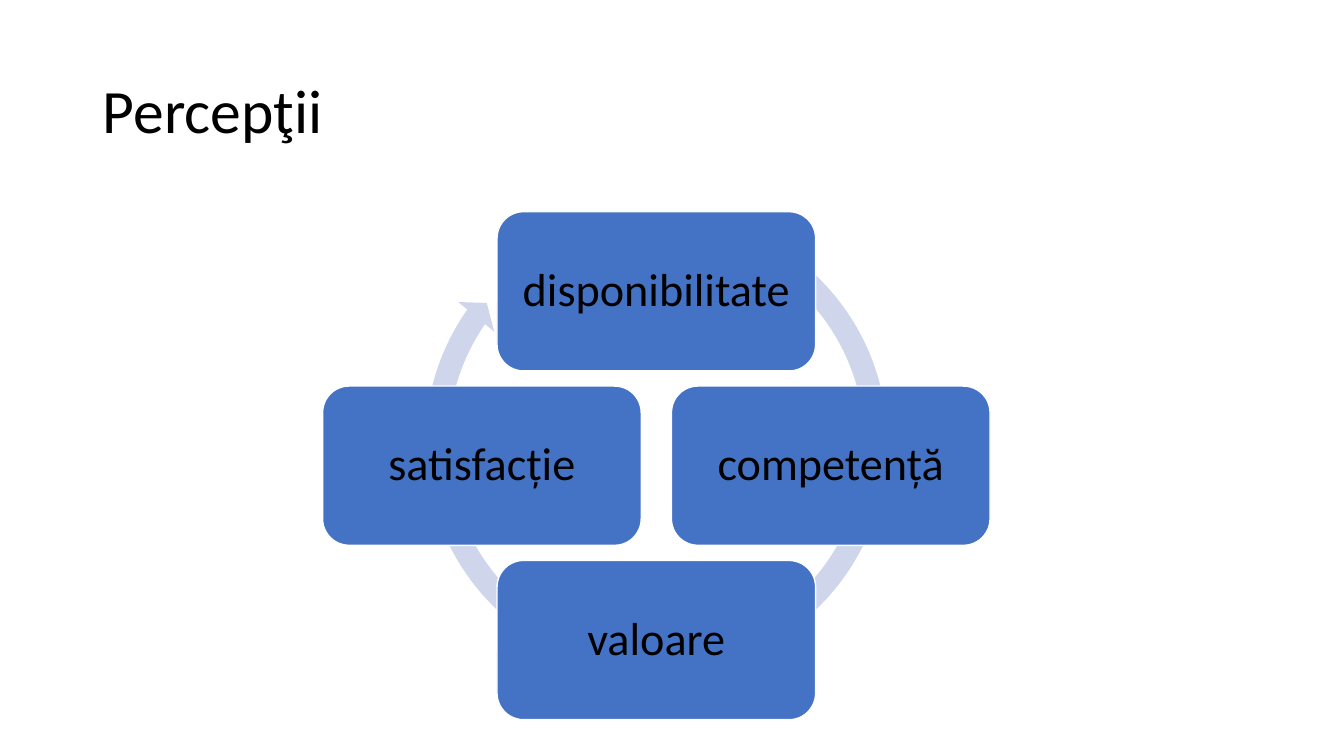
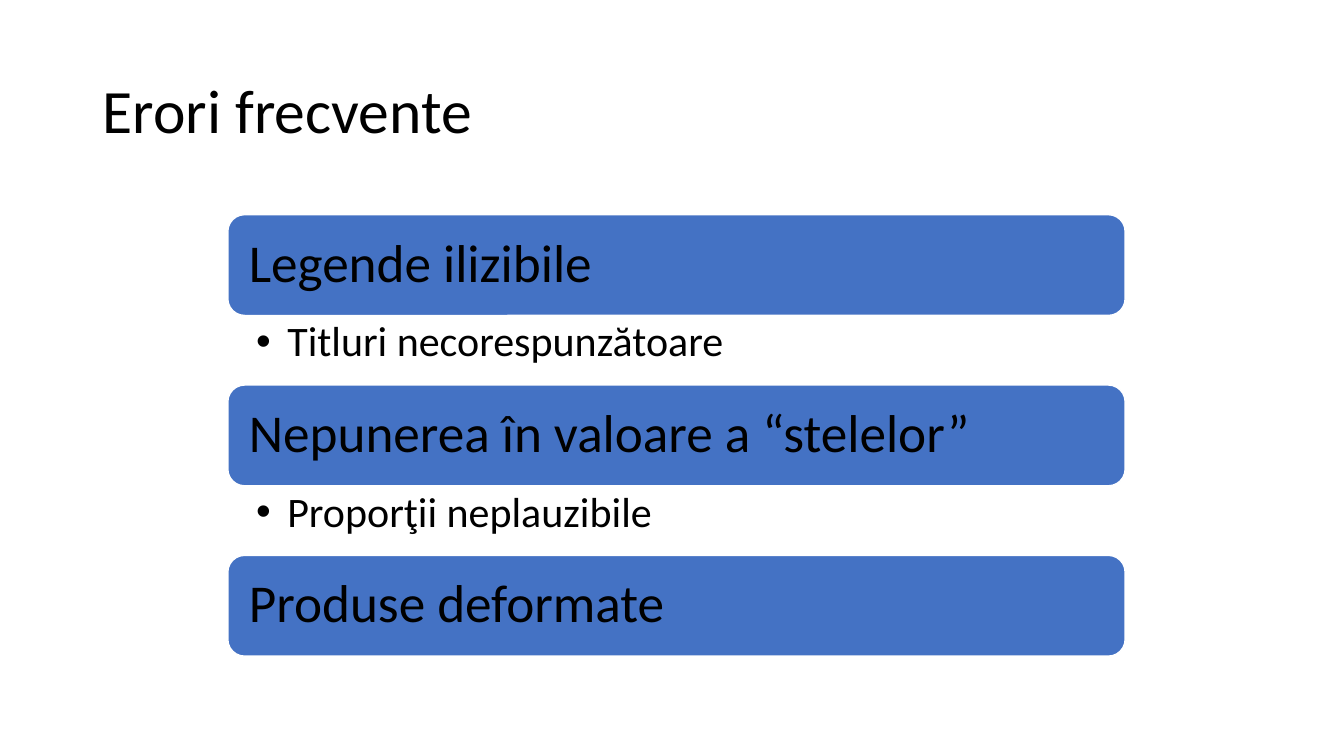
from dataclasses import dataclass

from pptx import Presentation
from pptx import util as u
from pptx.dml.color import RGBColor
from pptx.enum import shapes, text
from pptx.shapes.autoshape import Shape
from pptx.slide import Slide

COLORS = {"text": "000000", "box": "4472C4", "ring": "CFD5EA", "edge": "FFFFFF"}
FONT = "Calibri"
TWO_CONTENT, TITLE_ONLY = 3, 5  # layouts of the default template


@dataclass
class Area:
    left: float
    top: float
    width: float
    height: float

    def lengths(self) -> list[u.Length]:
        return [u.Inches(v) for v in (self.left, self.top, self.width, self.height)]


@dataclass
class Step:
    label: str
    across: int  # direction from the cycle's centre
    down: int


@dataclass
class Topic:
    heading: str
    detail: str = ""


TITLE_AREA = Area(0.92, 0.4, 11.5, 1.45)

# Cycle of perceptions
STEPS = [
    Step("disponibilitate", 0, -1),
    Step("competență", 1, 0),
    Step("valoare", 0, 1),
    Step("satisfacție", -1, 0),
]
CENTER_X, CENTER_Y, RADIUS = 6.51, 4.62, 1.73
STEP_WIDTH, STEP_HEIGHT = 3.16, 1.58
RING_AREA = Area(4.1, 1.98, 4.82, 4.82)
RING_ADJUSTMENTS = (0.047, 2.729, 128.942, 179.882, 0.048)

# Bars of frequent errors
TOPICS = [
    Topic("Legende ilizibile", "Titluri necorespunzătoare"),
    Topic("Nepunerea în valoare a “stelelor”", "Proporţii neplauzibile"),
    Topic("Produse deformate"),
]
BAR_LEFT, BAR_TOP, BAR_WIDTH, BAR_HEIGHT = 2.26, 2.13, 8.9, 1
DETAIL_HEIGHT = 0.69


def color(name: str) -> RGBColor:
    return RGBColor.from_string(COLORS[name])


def place(shape: Shape, area: Area) -> None:
    shape.left, shape.top, shape.width, shape.height = area.lengths()


def write(shape: Shape, content: str, size: float, align=text.PP_ALIGN.LEFT,
          anchor=text.MSO_ANCHOR.MIDDLE):
    """Fill a shape with one paragraph in the deck's text style."""
    frame = shape.text_frame
    frame.word_wrap = True
    frame.auto_size = text.MSO_AUTO_SIZE.NONE
    frame.vertical_anchor = anchor
    frame.text = content
    para = frame.paragraphs[0]
    para.alignment = align
    para.line_spacing = 0.9
    para.space_before = u.Pt(0)
    para.font.name = FONT
    para.font.size = u.Pt(size)
    para.font.color.rgb = color("text")
    return para


def add_page(deck, layout: int, title: str) -> Slide:
    page = deck.slides.add_slide(deck.slide_layouts[layout])
    place(page.shapes.title, TITLE_AREA)
    write(page.shapes.title, title, 44)
    return page


def add_box(page: Slide, area: Area, label: str, size: float, margin: float,
            align=text.PP_ALIGN.LEFT) -> None:
    box = page.shapes.add_shape(shapes.MSO_SHAPE.ROUNDED_RECTANGLE, *area.lengths())
    box.shadow.inherit = False
    box.fill.solid()
    box.fill.fore_color.rgb = color("box")
    box.line.color.rgb = color("edge")
    box.line.width = u.Pt(1)
    frame = box.text_frame
    frame.margin_left = frame.margin_right = u.Inches(margin)
    frame.margin_top = frame.margin_bottom = u.Inches(margin)
    write(box, label, size, align)


def add_ring(page: Slide) -> None:
    ring = page.shapes.add_shape(shapes.MSO_SHAPE.CIRCULAR_ARROW, *RING_AREA.lengths())
    ring.shadow.inherit = False
    ring.fill.solid()
    ring.fill.fore_color.rgb = color("ring")
    ring.line.fill.background()
    for index, value in enumerate(RING_ADJUSTMENTS):
        ring.adjustments[index] = value


def fill_detail(holder: Shape, area: Area, detail: str) -> None:
    """Place a bulleted body placeholder under its bar."""
    place(holder, area)
    para = write(holder, detail, 30, anchor=text.MSO_ANCHOR.TOP)
    holder.text_frame.margin_left = u.Inches(0.28)
    holder.text_frame.margin_right = u.Inches(0.3)
    indent = u.Inches(0.31)
    properties = para._p.get_or_add_pPr()
    properties.set("marL", str(indent))
    properties.set("indent", str(-indent))


def build_cycle(deck) -> None:
    page = add_page(deck, TITLE_ONLY, "Percepţii")
    add_ring(page)
    for step in STEPS:
        area = Area(CENTER_X + step.across * RADIUS - STEP_WIDTH / 2,
                    CENTER_Y + step.down * RADIUS - STEP_HEIGHT / 2,
                    STEP_WIDTH, STEP_HEIGHT)
        add_box(page, area, step.label, 33, 0.14, text.PP_ALIGN.CENTER)


def build_errors(deck) -> None:
    page = add_page(deck, TWO_CONTENT, "Erori frecvente")
    holders = iter([holder for holder in page.placeholders
                    if holder.placeholder_format.idx > 0])
    for row, topic in enumerate(TOPICS):
        top = BAR_TOP + row * (BAR_HEIGHT + DETAIL_HEIGHT)
        add_box(page, Area(BAR_LEFT, top, BAR_WIDTH, BAR_HEIGHT), topic.heading, 38, 0.16)
        if topic.detail:
            area = Area(BAR_LEFT, top + BAR_HEIGHT, BAR_WIDTH, DETAIL_HEIGHT)
            fill_detail(next(holders), area, topic.detail)


def main() -> None:
    deck = Presentation()
    deck.slide_width, deck.slide_height = u.Inches(13.33), u.Inches(7.5)
    build_cycle(deck)
    build_errors(deck)
    deck.save("out.pptx")


if __name__ == "__main__":
    main()
